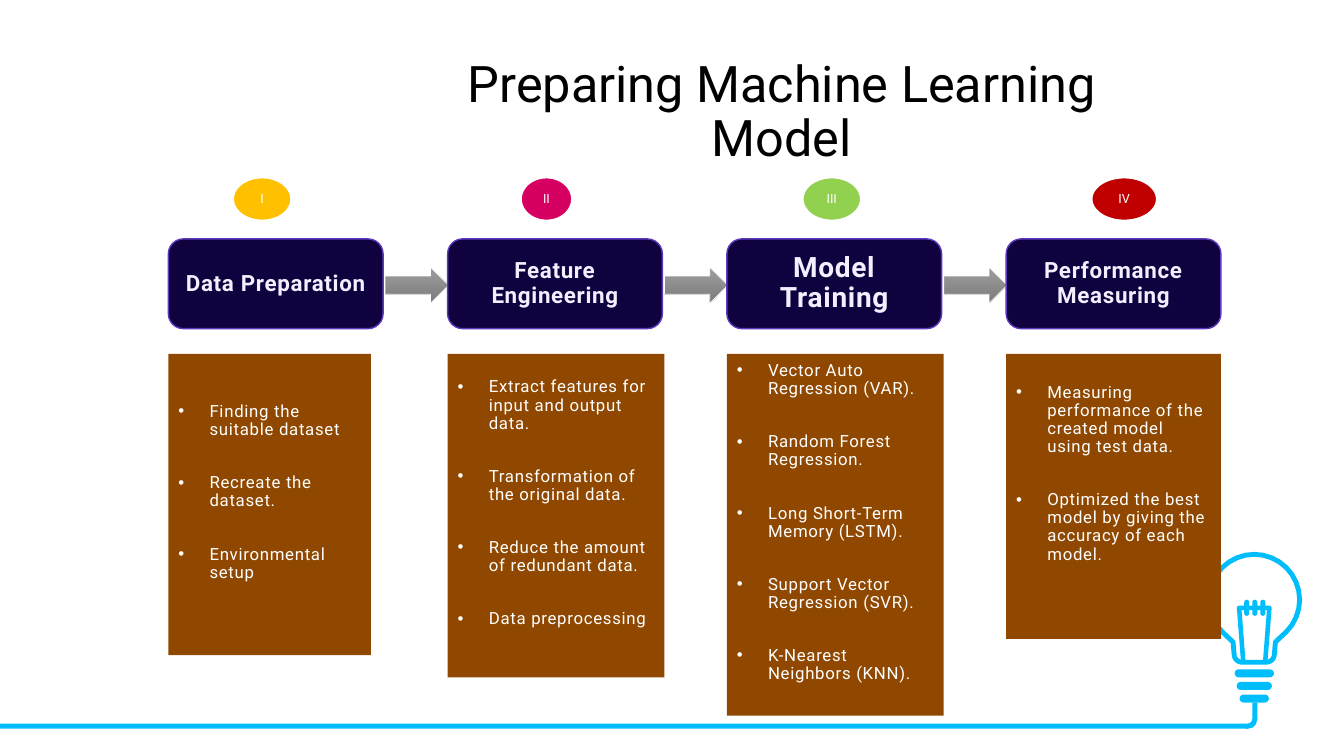
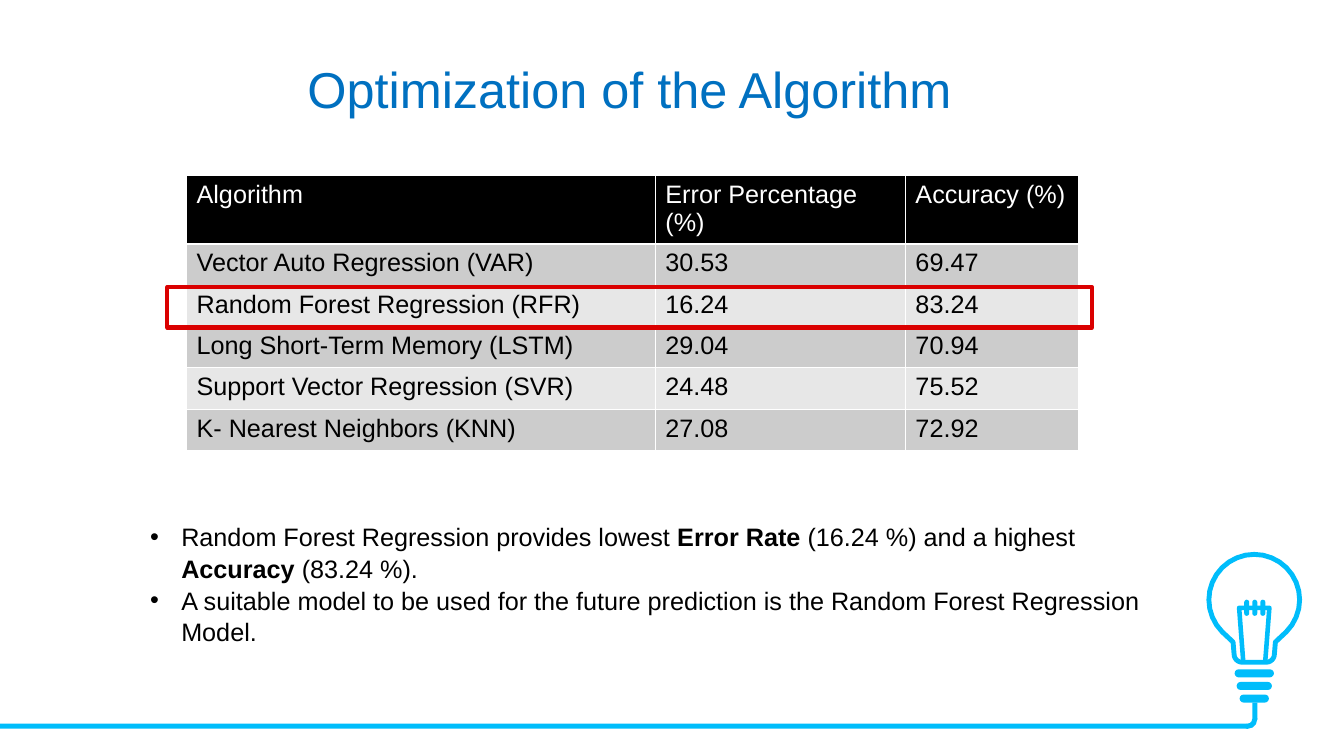
import math
from dataclasses import dataclass

from lxml import etree
from pptx import Presentation
from pptx import util as u
from pptx.dml.color import RGBColor
from pptx.enum import shapes, text
from pptx.oxml import ns


@dataclass(frozen=True)
class Theme:
    black: str = "000000"
    white: str = "FFFFFF"
    accent: str = "00BDFB"
    title_blue: str = "0070C0"
    step: str = "10013F"
    step_line: str = "5F39BD"
    step_text: str = "F2F0FF"
    card: str = "904800"
    arrow_top: str = "9D9D9D"
    arrow_bottom: str = "7C7C7C"
    row_dark: str = "CCCCCC"
    row_light: str = "E7E7E7"
    highlight: str = "DA0000"
    modern: str = "Roboto"
    plain: str = "Arial"
    title_size: int = 36
    body_size: int = 18
    step_size: int = 16
    card_size: int = 12
    badge_size: int = 9


@dataclass(frozen=True)
class Box:
    left: float
    top: float
    width: float
    height: float

    def emu(self):
        return [u.Inches(side) for side in (self.left, self.top, self.width, self.height)]


@dataclass(frozen=True)
class Step:
    numeral: str
    badge_color: str
    badge_center: float
    badge_width: float
    heading: str
    heading_size: int
    card_width: float
    card_height: float
    bottom_margin: float
    points: tuple


THEME = Theme()
PRESET = shapes.MSO_SHAPE
CENTER = text.PP_ALIGN.CENTER
LEFT = text.PP_ALIGN.LEFT

STEPS = (
    Step("I", "FFC000", 0.93, 0.58, "Data Preparation", THEME.step_size, 2.01, 2.99, 0.29,
         ("Finding the suitable dataset", "Recreate the dataset.", "Environmental setup")),
    Step("II", "D60062", 0.98, 0.51, "Feature Engineering", THEME.step_size, 2.15, 3.21, 0.29,
         ("Extract features for input and output data.",
          "Transformation of the original data.",
          "Reduce the amount of redundant data.", "Data preprocessing")),
    Step("III", "92D050", 1.04, 0.58, "Model Training", 20, 2.15, 3.59, 0.29,
         ("Vector Auto Regression (VAR).", "Random Forest Regression.",
          "Long Short-Term Memory (LSTM).", "Support Vector Regression (SVR).",
          "K-Nearest Neighbors (KNN).")),
    Step("IV", "C00000", 1.17, 0.65, "Performance Measuring", THEME.step_size, 2.13, 2.83, 0.5,
         ("Measuring performance of the created model using test data.",
          "Optimized the best model by giving the accuracy of each model.")),
)

RESULTS = (
    ("Algorithm", "Error Percentage (%)", "Accuracy (%)"),
    ("Vector Auto Regression (VAR)", "30.53", "69.47"),
    ("Random Forest Regression (RFR)", "16.24", "83.24"),
    ("Long Short-Term Memory (LSTM)", "29.04", "70.94"),
    ("Support Vector Regression (SVR)", "24.48", "75.52"),
    ("K- Nearest Neighbors (KNN)", "27.08", "72.92"),
)

FINDINGS = (
    "Random Forest Regression provides lowest *Error Rate *(16.24 %) and a highest "
    "*Accuracy* (83.24 %).",
    "A suitable model to be used for the future prediction is the Random Forest "
    "Regression Model.",
)


def style_outline(shape, fill=None, line=None, weight=1.0):
    shape.shadow.inherit = False
    if fill:
        shape.fill.solid()
        shape.fill.fore_color.rgb = RGBColor.from_string(fill)
    else:
        shape.fill.background()
    if line:
        shape.line.color.rgb = RGBColor.from_string(line)
        shape.line.width = u.Pt(weight)
    else:
        shape.line.fill.background()
    return shape


def add_preset(slide, preset, box, **style):
    return style_outline(slide.shapes.add_shape(preset, *box.emu()), **style)


def add_outline(slide, points, close, **style):
    points = [(u.Inches(x), u.Inches(y)) for x, y in points]
    builder = slide.shapes.build_freeform(*points[0], scale=1.0)
    builder.add_line_segments(points[1:], close=close)
    return style_outline(builder.convert_to_shape(), **style)


def add_bullet(paragraph, indent=0.31):
    properties = paragraph._p.get_or_add_pPr()
    properties.set("marL", str(u.Inches(indent)))
    properties.set("indent", str(-u.Inches(indent)))
    etree.SubElement(properties, ns.qn("a:buFont")).set("typeface", THEME.plain)
    etree.SubElement(properties, ns.qn("a:buChar")).set("char", "•")


def write(frame, lines, size, color, font, align=CENTER, bold=False, bullets=False,
          gap=0, line_spacing=0.9, tracking=0.0):
    """Fill a text frame; words between asterisks are bold."""
    frame.word_wrap = True
    for index, line in enumerate(lines):
        paragraph = frame.paragraphs[0] if index == 0 else frame.add_paragraph()
        if bullets:
            add_bullet(paragraph)
        paragraph.alignment = align
        paragraph.line_spacing = line_spacing
        paragraph.space_before = u.Pt(0)
        paragraph.space_after = u.Pt(gap if index < len(lines) - 1 else 0)
        for part, words in enumerate(line.split("*")):
            run = paragraph.add_run()
            run.text = words
            run.font.name = font
            run.font.size = u.Pt(size)
            run.font.bold = bold or part % 2 == 1
            run.font.color.rgb = RGBColor.from_string(color)
            if tracking:
                run._r.get_or_add_rPr().set("spc", str(int(tracking * 100)))


def set_title(slide, words, box, color, font):
    title = slide.shapes.title
    title.left, title.top, title.width, title.height = box.emu()
    frame = title.text_frame
    frame.auto_size = text.MSO_AUTO_SIZE.NONE
    frame.vertical_anchor = text.MSO_ANCHOR.MIDDLE
    write(frame, [words], THEME.title_size, color, font)


def arc(x, y, radius, start, end, count=24):
    angles = [math.radians(start + (end - start) * i / count) for i in range(count + 1)]
    return [(x + radius * math.cos(a), y + radius * math.sin(a)) for a in angles]


def draw_bulb(slide, box):
    middle, top = box.left + box.width / 2, box.top
    radius = box.width / 2
    glass = arc(middle, top + radius, radius, 135, 405)
    glass += [(middle + 0.21, top + 0.87)]
    glass += arc(middle + 0.12, top + 0.99, 0.08, 0, 90, 6)
    glass += arc(middle - 0.12, top + 0.99, 0.08, 90, 180, 6)
    glass += [(middle - 0.21, top + 0.87)]
    parts = [add_outline(slide, glass, True, fill=THEME.white, line=THEME.accent, weight=3.5)]

    filament = [(middle + x, top + y) for x, y in
                ((-0.11, 1.05), (-0.15, 0.53), (0.15, 0.53), (0.11, 1.05))]
    parts.append(add_outline(slide, filament, False, line=THEME.accent, weight=3.25))

    ticks = [Box(middle + x - 0.02, top + 0.45, 0.05, 0.16) for x in (-0.08, 0, 0.08)]
    threads = [Box(middle - width / 2, top + 1.14 + 0.125 * row, width, 0.08)
               for row, width in enumerate((0.39, 0.35, 0.29))]
    for bar in ticks + threads:
        pill = add_preset(slide, PRESET.ROUNDED_RECTANGLE, bar, fill=THEME.accent)
        pill.adjustments[0] = 0.5
        parts.append(pill)
    return parts


def draw_cable(slide, box):
    """Floor line that bends up at the right end of the box."""
    thick, bend = 0.05, 0.19
    right, bottom = box.left + box.width, box.top + box.height
    floor = Box(box.left, bottom - thick, box.width - 0.1, thick)
    riser = Box(right - thick, box.top, thick, 0.17)
    corner = Box(right - bend, bottom - bend, bend, bend)
    parts = [add_preset(slide, PRESET.RECTANGLE, part, fill=THEME.accent)
             for part in (floor, riser)]
    curve = add_preset(slide, PRESET.BLOCK_ARC, corner, fill=THEME.accent)
    for index, value in enumerate((213.394, 60.915, 0.271)):
        curve.adjustments[index] = value
    return parts + [curve]


def decorate_layout(slide):
    """Put the bulb and its cable on the layout behind the given slide."""
    parts = draw_bulb(slide, Box(11.99, 5.5, 0.9, 1.47))
    parts += draw_cable(slide, Box(0, 6.97, 12.47, 0.26))
    tree = slide.slide_layout.element.cSld.spTree
    for number, part in enumerate(parts, start=100):
        part.element.xpath(".//p:cNvPr")[0].set("id", str(number))
        tree.append(part.element)


def draw_step(slide, box, step):
    badge = Box(box.left + step.badge_center - step.badge_width / 2, box.top,
                step.badge_width, 0.43)
    circle = add_preset(slide, PRESET.FLOWCHART_CONNECTOR, badge, fill=step.badge_color,
                        line=THEME.white, weight=1.5)
    write(circle.text_frame, [step.numeral], THEME.badge_size, THEME.white, THEME.modern)

    heading = add_preset(slide, PRESET.ROUNDED_RECTANGLE,
                         Box(box.left, box.top + 0.61, box.width, 0.89),
                         fill=THEME.step, line=THEME.step_line)
    write(heading.text_frame, [step.heading], step.heading_size, THEME.step_text,
          THEME.modern, bold=True, tracking=0.5)

    card = add_preset(slide, PRESET.RECTANGLE,
                      Box(box.left, box.top + 1.75, step.card_width, step.card_height),
                      fill=THEME.card)
    card.text_frame.margin_bottom = u.Inches(step.bottom_margin)
    write(card.text_frame, step.points, THEME.card_size, THEME.white, THEME.modern,
          align=LEFT, bullets=True, gap=25, tracking=0.5)
    for shape in (circle, heading, card):
        shape.text_frame.vertical_anchor = text.MSO_ANCHOR.MIDDLE


def draw_process(slide, box, steps):
    pitch, column_width = 2.77, box.width - 2.77 * (len(steps) - 1)
    for index, step in enumerate(steps):
        left = box.left + pitch * index
        draw_step(slide, Box(left, box.top, column_width, box.height), step)
        if index < len(steps) - 1:
            arrow = add_preset(slide, PRESET.RIGHT_ARROW,
                               Box(left + 2.15, box.top + 0.89, 0.63, 0.36),
                               line=THEME.white, weight=0.5)
            arrow.fill.gradient()
            arrow.fill.gradient_angle = 270
            for stop, color in zip(arrow.fill.gradient_stops,
                                   (THEME.arrow_top, THEME.arrow_bottom)):
                stop.color.rgb = RGBColor.from_string(color)


def draw_results(slide, box, rows, best_row):
    table = slide.shapes.add_table(len(rows), len(rows[0]), *box.emu()).table
    for column, width in zip(table.columns, (4.65, 2.48, 1.72)):
        column.width = u.Inches(width)
    header_height, row_height = 0.68, 0.41
    for index, values in enumerate(rows):
        table.rows[index].height = u.Inches(row_height if index else header_height)
        fill = (THEME.row_dark if index % 2 else THEME.row_light) if index else THEME.black
        for cell, value in zip(table.rows[index].cells, values):
            cell.fill.solid()
            cell.fill.fore_color.rgb = RGBColor.from_string(fill)
            write(cell.text_frame, [value], THEME.body_size,
                  THEME.black if index else THEME.white, THEME.plain,
                  align=LEFT, line_spacing=1.0)
    best_top = box.top + header_height + row_height * (best_row - 1)
    add_preset(slide, PRESET.RECTANGLE,
               Box(box.left - 0.19, best_top + 0.02, box.width + 0.32, 0.4),
               line=THEME.highlight, weight=3)


def main():
    presentation = Presentation()
    presentation.slide_width, presentation.slide_height = u.Inches(13.33), u.Inches(7.5)
    title_only = presentation.slide_layouts[5]

    process = presentation.slides.add_slide(title_only)
    decorate_layout(process)
    set_title(process, "Preparing Machine Learning Model", Box(3.84, 0.4, 7.83, 1.45),
              THEME.black, THEME.modern)
    draw_process(process, Box(1.67, 1.76, 10.44, 5.34), STEPS)

    results = presentation.slides.add_slide(title_only)
    set_title(results, "Optimization of the Algorithm", Box(2.33, 0.19, 7.83, 1.45),
              THEME.title_blue, THEME.plain)
    draw_results(results, Box(1.85, 1.74, 8.85, 2.73), RESULTS, best_row=2)
    findings = results.shapes.add_textbox(*Box(1.39, 5.11, 10.07, 1.31).emu())
    write(findings.text_frame, FINDINGS, THEME.body_size, THEME.black, THEME.plain,
          align=LEFT, bullets=True, line_spacing=1.05)

    presentation.save("out.pptx")


if __name__ == "__main__":
    main()
